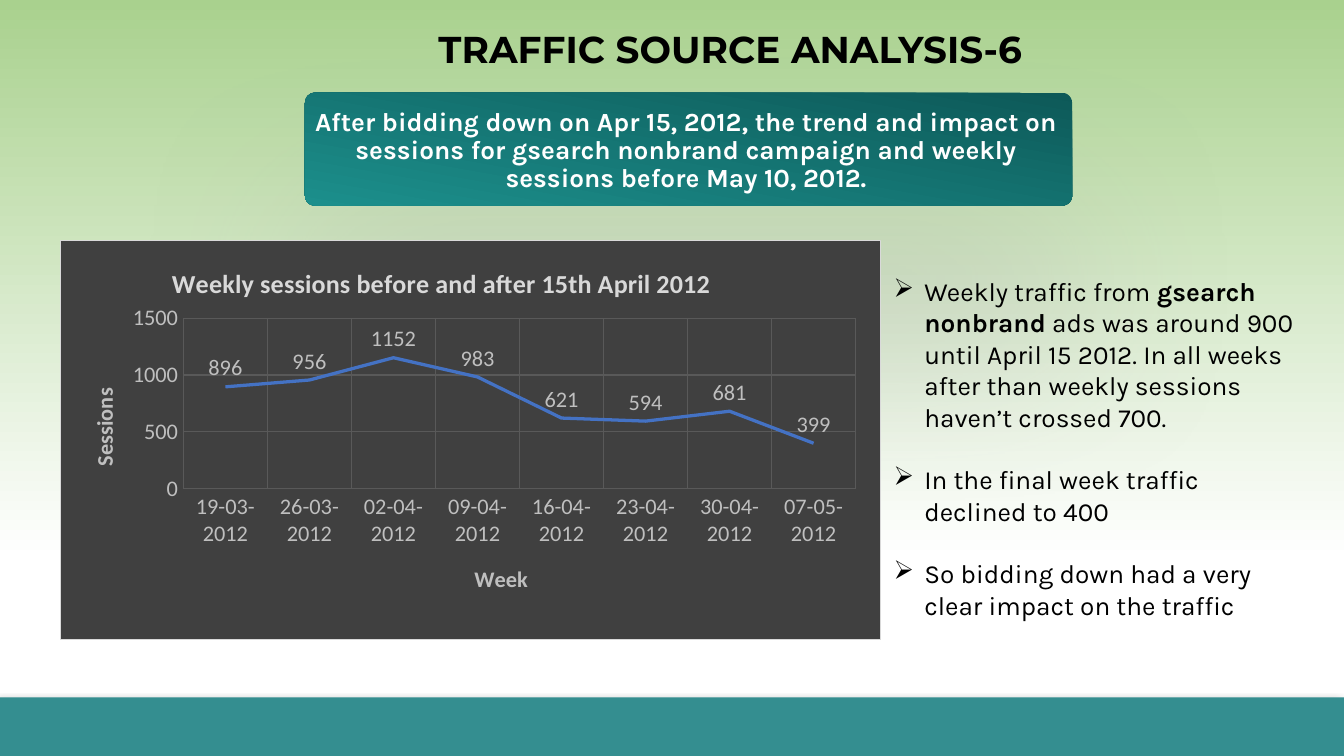
from dataclasses import dataclass

from lxml import etree
from pptx import Presentation
from pptx.chart.data import CategoryChartData
from pptx.dml.color import RGBColor
from pptx.enum.chart import XL_CHART_TYPE, XL_LABEL_POSITION, XL_TICK_MARK
from pptx.enum.shapes import MSO_SHAPE
from pptx.enum.text import MSO_ANCHOR, PP_ALIGN
from pptx.oxml import parse_xml
from pptx.oxml.ns import nsdecls, qn
from pptx.util import Pt

LINE = XL_CHART_TYPE.LINE
ABOVE = XL_LABEL_POSITION.ABOVE
NO_TICK = XL_TICK_MARK.NONE
RECTANGLE = MSO_SHAPE.RECTANGLE
ROUNDED = MSO_SHAPE.ROUNDED_RECTANGLE
TOP, BOTTOM = MSO_ANCHOR.TOP, MSO_ANCHOR.BOTTOM
CENTER = PP_ALIGN.CENTER


@dataclass(frozen=True)
class Theme:
    heading_font: str = "Montserrat"
    body_font: str = "Karla"
    chart_font: str = "Calibri"
    heading_size: int = 20
    body_size: int = 14
    label_size: int = 12
    black: str = "000000"
    white: str = "FFFFFF"
    sky: str = "A9D18E"
    footer: str = "348E90"
    banner_dark: str = "0D5958"
    banner_light: str = "1C8F8C"
    banner_shadow: str = "A6A6A6"
    chart_fill: str = "404040"
    chart_border: str = "D9D9D9"
    chart_text: str = "BFBFBF"
    grid: str = "595959"
    series: str = "4472C4"


THEME = Theme()
WEEKS = ["19-03-2012", "26-03-2012", "02-04-2012", "09-04-2012",
         "16-04-2012", "23-04-2012", "30-04-2012", "07-05-2012"]
SESSIONS = [896, 956, 1152, 983, 621, 594, 681, 399]
FINDINGS = [
    [("Weekly traffic from ", False), ("gsearch nonbrand", True),
     (" ads was around 900 until April 15 2012. In all weeks after than "
      "weekly sessions haven’t crossed 700.", False)],
    [("In the final week traffic declined to 400", False)],
    [("So bidding down had a very clear impact on the traffic", False)],
]


def style_font(font, name, size, color, bold=False):
    font.name = name
    font.size = Pt(size)
    font.bold = bold
    font.color.rgb = RGBColor.from_string(color)


def fill_gradient(fill, stops, angle):
    fill.gradient()
    fill.gradient_angle = 360 - angle
    for stop, (position, color) in zip(fill.gradient_stops, stops):
        stop.position = position
        stop.color.rgb = RGBColor.from_string(color)


def add_block(slide, kind, box, shadow):
    shape = slide.shapes.add_shape(kind, *map(Pt, box))
    shape.line.fill.background()
    shape.shadow.inherit = False
    color, blur, distance, direction = shadow
    effects = shape._element.spPr.find(qn("a:effectLst"))
    effects.append(parse_xml(
        f'<a:outerShdw {nsdecls("a")} blurRad="{Pt(blur)}" dist="{Pt(distance)}" '
        f'dir="{direction * 60000}" algn="ctr" rotWithShape="0">'
        f'<a:srgbClr val="{color}"><a:alpha val="40000"/></a:srgbClr></a:outerShdw>'))
    return shape


def add_text_frame(slide, box, anchor=TOP):
    text_frame = slide.shapes.add_textbox(*map(Pt, box)).text_frame
    text_frame.word_wrap = True
    text_frame.vertical_anchor = anchor
    return text_frame


def add_centered_text(slide, box, text, font_name, size, color, anchor=TOP):
    text_frame = add_text_frame(slide, box, anchor)
    text_frame.text = text
    paragraph = text_frame.paragraphs[0]
    paragraph.alignment = CENTER
    paragraph.line_spacing = 0.9
    style_font(paragraph.runs[0].font, font_name, size, color, True)


def add_findings(slide, box, findings):
    text_frame = add_text_frame(slide, box)
    for index, parts in enumerate(findings):
        paragraph = text_frame.add_paragraph() if index else text_frame.paragraphs[0]
        if index:
            paragraph.space_before = Pt(16.8)
        properties = paragraph._p.get_or_add_pPr()
        properties.set("marL", str(Pt(16.5)))
        properties.set("indent", str(-Pt(16.5)))
        bullet = etree.SubElement(properties, qn("a:buChar"))
        bullet.set("char", "➢")
        for text, bold in parts:
            run = paragraph.add_run()
            run.text = text
            style_font(run.font, THEME.body_font, THEME.body_size, THEME.black, bold)


def set_layout(element, index, **values):
    for layout in element.findall(qn("c:layout")):
        element.remove(layout)
    layout = etree.Element(qn("c:layout"))
    manual = etree.SubElement(layout, qn("c:manualLayout"))
    for name, value in values.items():
        etree.SubElement(manual, qn(f"c:{name}")).set("val", str(value))
    element.insert(index, layout)


def set_title(title, text, size, color, x, y):
    title.text_frame.text = text
    style_font(title.text_frame.paragraphs[0].runs[0].font,
               THEME.chart_font, size, color, True)
    set_layout(title._element, 1, xMode="edge", yMode="edge", x=x, y=y)


def style_axis(axis, title, x, y):
    axis.major_tick_mark = axis.minor_tick_mark = NO_TICK
    axis.has_major_gridlines = True
    axis.major_gridlines.format.line.width = Pt(0.75)
    axis.major_gridlines.format.line.color.rgb = RGBColor.from_string(THEME.grid)
    axis.format.line.fill.background()
    style_font(axis.tick_labels.font, THEME.chart_font, THEME.label_size, THEME.chart_text)
    set_title(axis.axis_title, title, THEME.label_size, THEME.chart_text, x, y)


def fill_chart_area(chart):
    area = parse_xml(
        f'<c:spPr {nsdecls("c", "a")}>'
        f'<a:solidFill><a:srgbClr val="{THEME.chart_fill}"/></a:solidFill>'
        f'<a:ln w="{Pt(0.75)}"><a:solidFill><a:srgbClr val="{THEME.chart_border}"/>'
        '</a:solidFill></a:ln></c:spPr>')
    chart._chartSpace.find(qn("c:txPr")).addprevious(area)


def add_sessions_chart(slide, box):
    data = CategoryChartData()
    data.categories = WEEKS
    data.add_series("Series 1", SESSIONS)
    chart = slide.shapes.add_chart(LINE, *map(Pt, box), data).chart
    style_font(chart.font, THEME.chart_font, 10, THEME.black)
    fill_chart_area(chart)
    chart.has_legend = False
    set_title(chart.chart_title, "Weekly sessions before and after 15th April 2012",
              THEME.body_size, THEME.chart_border, 0.13, 0.05)
    style_axis(chart.category_axis, "Week", 0.5, 0.8)
    style_axis(chart.value_axis, "Sessions", 0.03, 0.36)
    chart.value_axis.minimum_scale = 0
    chart.value_axis.maximum_scale = 1500
    chart.value_axis.major_unit = 500
    set_layout(chart._chartSpace.chart.plotArea, 0, layoutTarget="inner",
               xMode="edge", yMode="edge", x=0.15, y=0.195, w=0.82, h=0.427)
    plot = chart.plots[0]
    plot.vary_by_categories = False
    series = plot.series[0]
    series.smooth = False
    series.format.line.width = Pt(1.75)
    series.format.line.color.rgb = RGBColor.from_string(THEME.series)
    labels = series.data_labels
    labels.show_value = True
    labels.position = ABOVE
    style_font(labels.font, THEME.chart_font, THEME.label_size, THEME.chart_text)


def main():
    presentation = Presentation()
    presentation.slide_width, presentation.slide_height = Pt(720), Pt(405)
    slide = presentation.slides.add_slide(presentation.slide_layouts[6])
    fill_gradient(slide.background.fill, [(0, THEME.sky), (0.74, THEME.white)], 90)
    footer = add_block(slide, RECTANGLE, (0, 373.7, 720, 31.3), (THEME.black, 4, 3, 135))
    footer.fill.solid()
    footer.fill.fore_color.rgb = RGBColor.from_string(THEME.footer)
    banner = add_block(slide, ROUNDED, (163.4, 49.7, 411, 60.5),
                       (THEME.banner_shadow, 100, 70, 90))
    banner.adjustments[0] = 0.09
    fill_gradient(banner.fill, [(0, THEME.banner_dark), (1, THEME.banner_light)], 100)
    add_centered_text(
        slide, (160.6, 54.7, 414, 36),
        "After bidding down on Apr 15, 2012, the trend and impact on sessions for "
        "gsearch nonbrand campaign and weekly sessions before May 10, 2012.",
        THEME.body_font, THEME.body_size, THEME.white)
    add_sessions_chart(slide, (32, 128.5, 440, 214.5))
    add_findings(slide, (471.6, 144, 234, 193.7), FINDINGS)
    add_centered_text(slide, (130.3, 9.4, 522, 32.4), "TRAFFIC SOURCE ANALYSIS-6",
                      THEME.heading_font, THEME.heading_size, THEME.black, BOTTOM)
    presentation.save("out.pptx")


if __name__ == "__main__":
    main()
